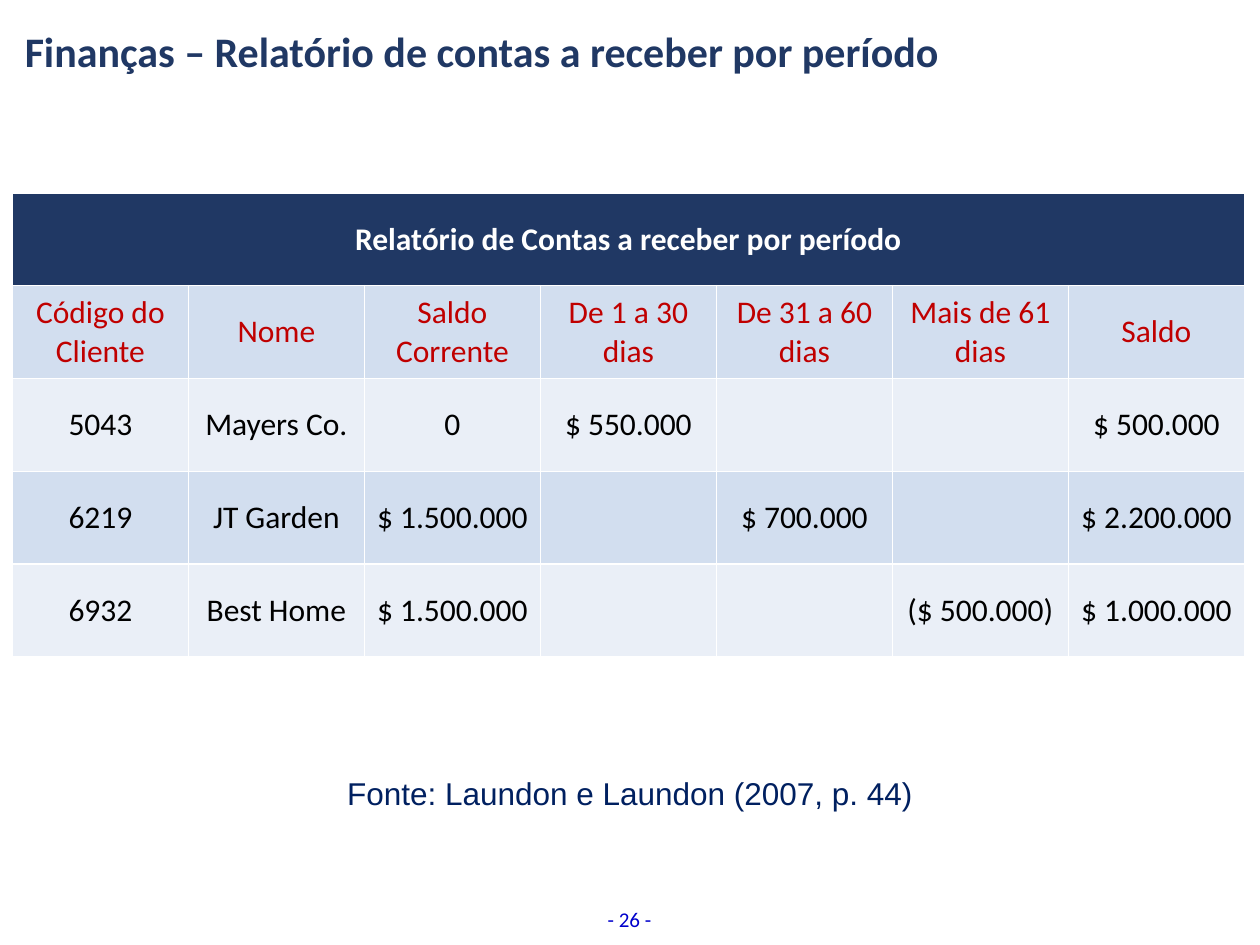
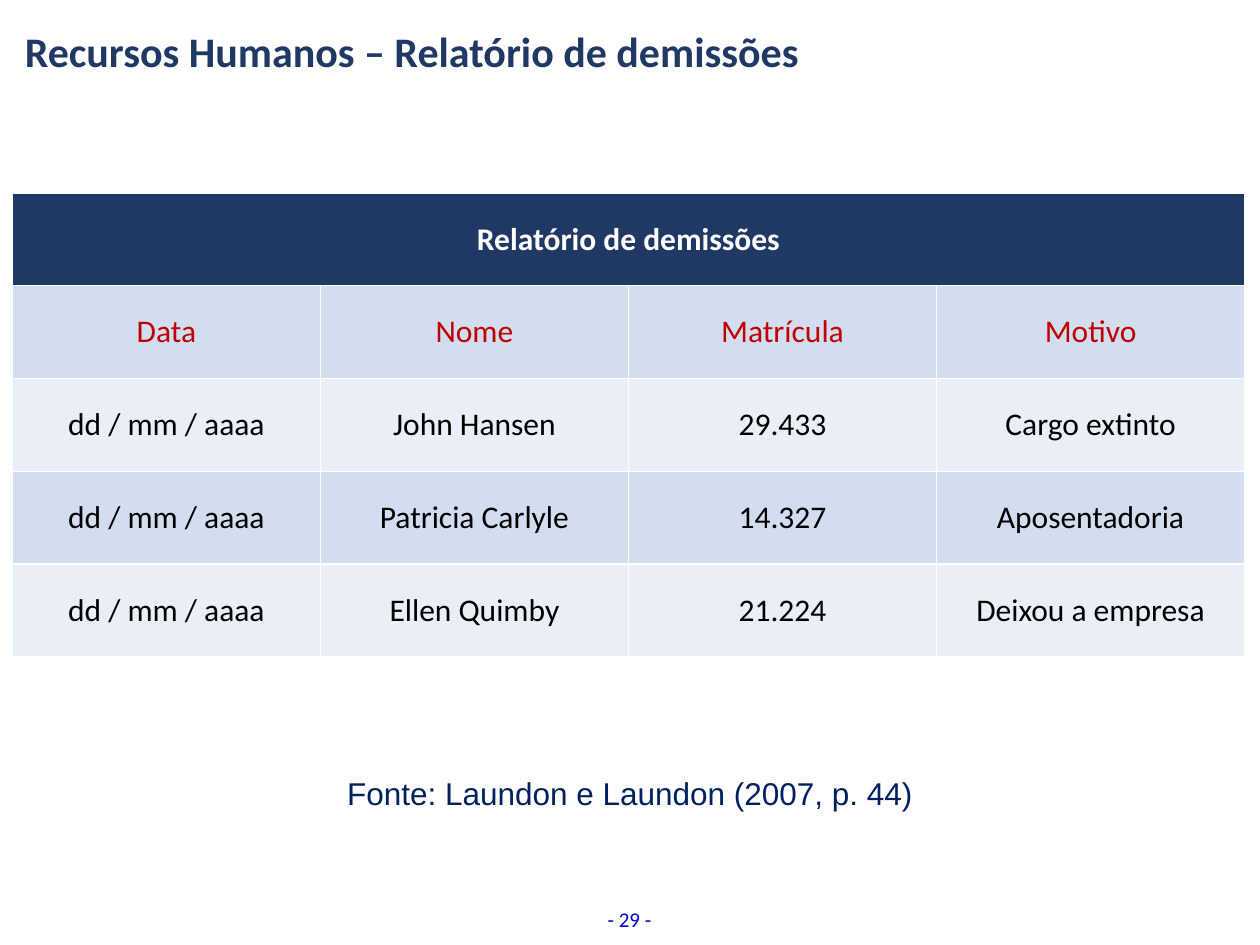
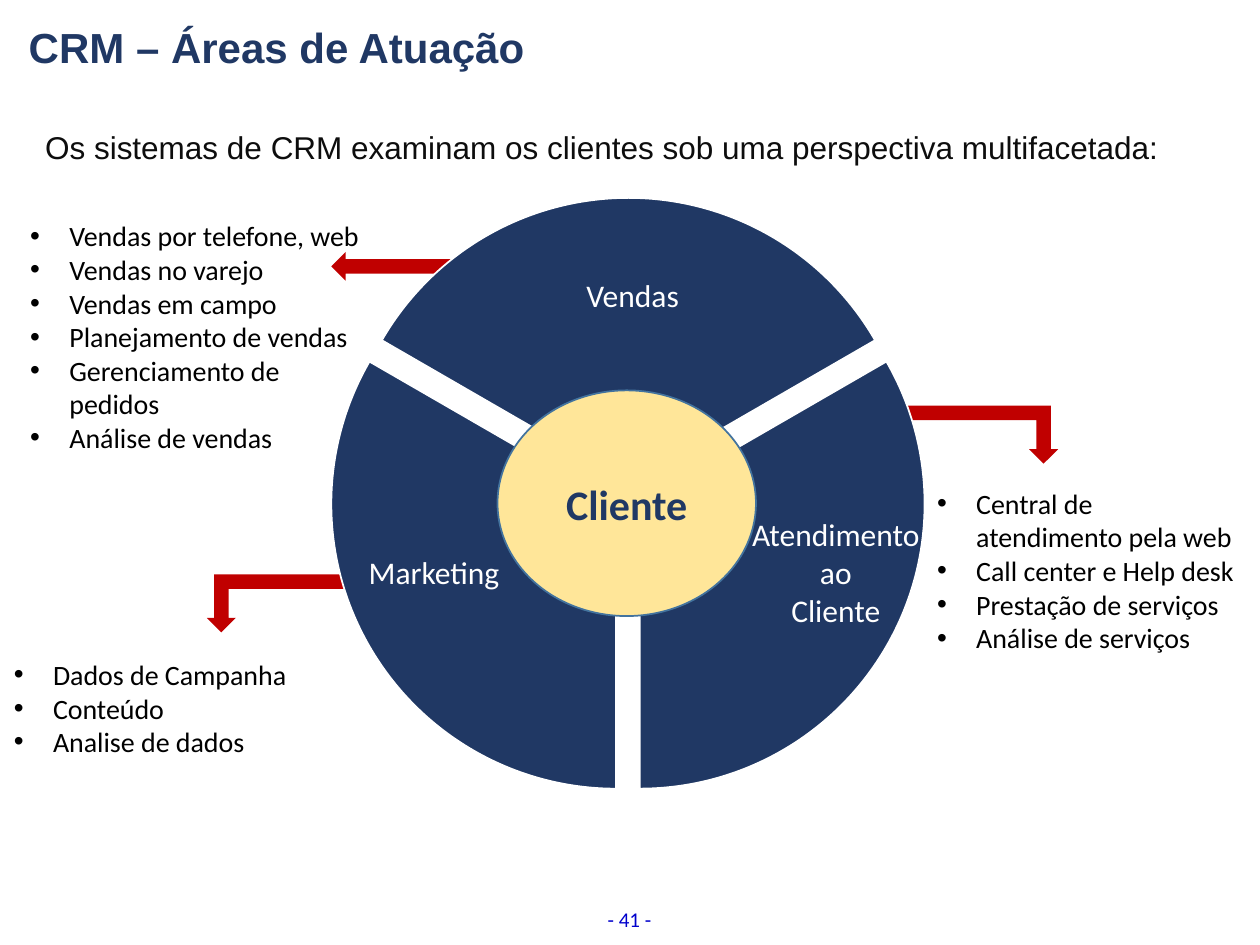
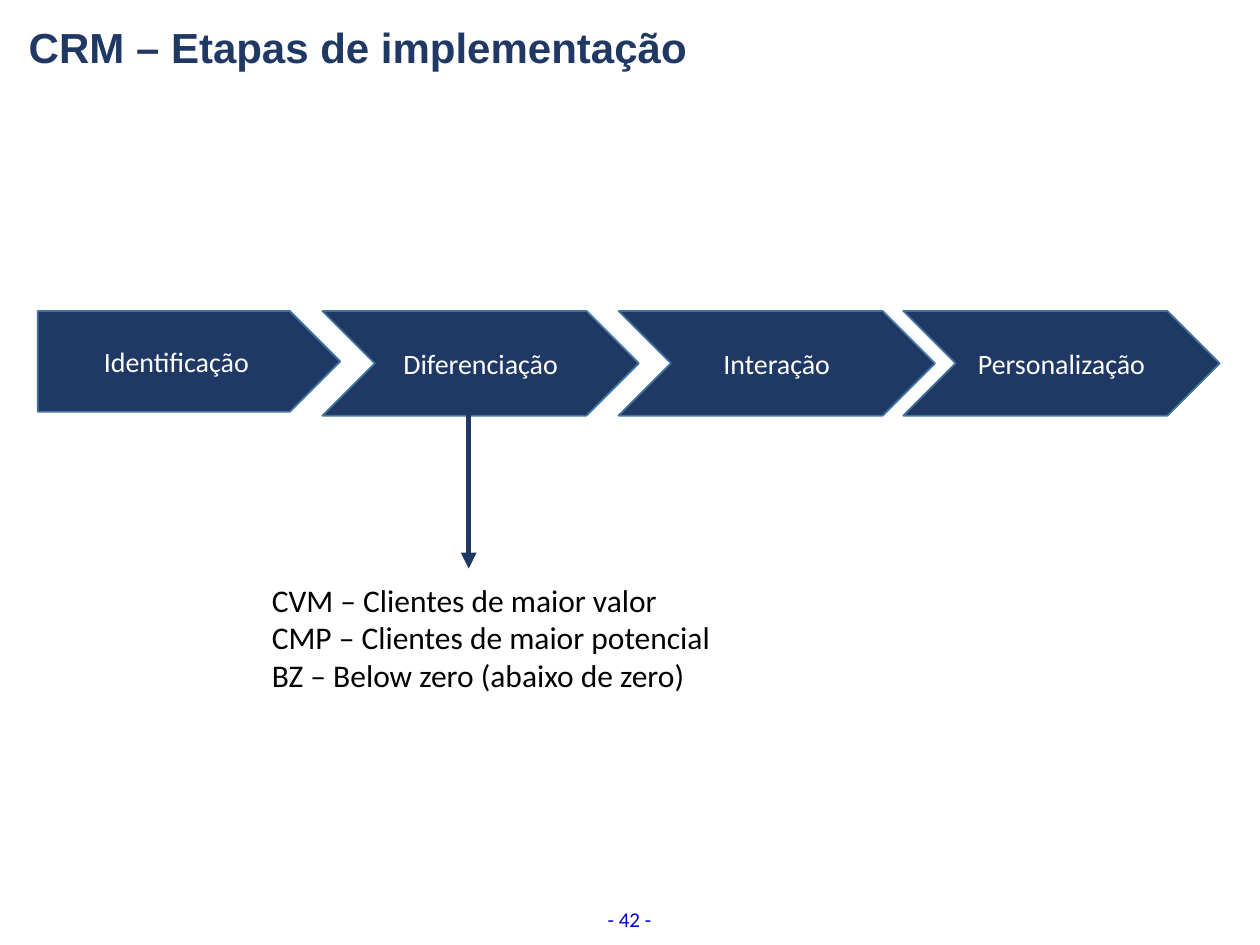
from lxml import etree
from pptx import Presentation
from pptx.dml.color import RGBColor
from pptx.enum.shapes import MSO_CONNECTOR, MSO_SHAPE
from pptx.enum.text import MSO_ANCHOR, PP_ALIGN
from pptx.oxml.ns import qn
from pptx.util import Cm, Pt

LEFT, CENTER, JUSTIFY = PP_ALIGN.LEFT, PP_ALIGN.CENTER, PP_ALIGN.JUSTIFY
TOP, MIDDLE = MSO_ANCHOR.TOP, MSO_ANCHOR.MIDDLE
PIE, ELLIPSE = MSO_SHAPE.PIE, MSO_SHAPE.OVAL
PENTAGON, CHEVRON = MSO_SHAPE.PENTAGON, MSO_SHAPE.CHEVRON
LEFT_ARROW, BENT_ARROW = MSO_SHAPE.LEFT_ARROW, MSO_SHAPE.BENT_UP_ARROW
STRAIGHT = MSO_CONNECTOR.STRAIGHT

COLORS = {
    "navy": "203864",
    "source": "002060",
    "footer": "0000CC",
    "red": "C00000",
    "band_dark": "D2DEEF",
    "band_light": "EAEFF7",
    "yellow": "FFE699",
    "outline": "43739E",
    "intro": "0D0D0D",
    "black": "000000",
    "white": "FFFFFF",
}


def place(slide, box, kind=None, fill=None, line=None):
    lengths = [Cm(value) for value in box]
    if kind is None:
        return slide.shapes.add_textbox(*lengths)
    shape = slide.shapes.add_shape(kind, *lengths)
    shape.shadow.inherit = False
    shape.fill.solid()
    shape.fill.fore_color.rgb = RGBColor.from_string(COLORS[fill])
    if line:
        shape.line.color.rgb = RGBColor.from_string(COLORS[line])
        shape.line.width = Pt(1)
    else:
        shape.line.fill.background()
    return shape


def write(holder, lines, size, color, font="Calibri", bold=False, align=LEFT,
          anchor=TOP, wrap=True, bullet=False, spacing=None):
    frame = holder.text_frame
    frame.word_wrap = wrap
    holder_anchor = holder if hasattr(holder, "vertical_anchor") else frame
    holder_anchor.vertical_anchor = anchor
    for index, text in enumerate(lines):
        paragraph = frame.add_paragraph() if index else frame.paragraphs[0]
        paragraph.alignment = align
        if spacing:
            paragraph.line_spacing = spacing
        if bullet:
            properties = paragraph._p.get_or_add_pPr()
            properties.set("marL", str(Cm(0.79)))
            properties.set("indent", str(-Cm(0.79)))
            etree.SubElement(properties, qn("a:buFont")).set("typeface", "Arial")
            etree.SubElement(properties, qn("a:buChar")).set("char", "•")
        run = paragraph.add_run()
        run.text = text
        run.font.name = font
        run.font.size = Pt(size)
        run.font.bold = bold
        run.font.color.rgb = RGBColor.from_string(COLORS[color])


presentation = Presentation()
presentation.slide_width = Cm(25.4)
presentation.slide_height = Cm(19.05)
blank_layout = presentation.slide_layouts[6]

slides = []
for number in (26, 29, 41, 42):
    slide = presentation.slides.add_slide(blank_layout)
    write(place(slide, (0.69, 18.16, 24, 0.64)), [f"- {number} -"], 12, "footer", align=CENTER)
    slides.append(slide)
finance_slide, staff_slide, areas_slide, steps_slide = slides

reports = [
    (finance_slide, "Finanças – Relatório de contas a receber por período",
     "Relatório de Contas a receber por período", [
         ["Código do Cliente", "Nome", "Saldo Corrente", "De 1 a 30 dias",
          "De 31 a 60 dias", "Mais de 61 dias", "Saldo"],
         ["5043", "Mayers Co.", "0", "$ 550.000", "", "", "$ 500.000"],
         ["6219", "JT Garden", "$ 1.500.000", "", "$ 700.000", "", "$ 2.200.000"],
         ["6932", "Best Home", "$ 1.500.000", "", "", "($ 500.000)", "$ 1.000.000"],
     ]),
    (staff_slide, "Recursos Humanos – Relatório de demissões",
     "Relatório de demissões", [
         ["Data", "Nome", "Matrícula", "Motivo"],
         ["dd / mm / aaaa", "John Hansen", "29.433", "Cargo extinto"],
         ["dd / mm / aaaa", "Patricia Carlyle", "14.327", "Aposentadoria"],
         ["dd / mm / aaaa", "Ellen Quimby", "21.224", "Deixou a empresa"],
     ]),
]
for slide, title, heading, rows in reports:
    write(place(slide, (0, 15.47, 25.4, 1.02)), ["Fonte: Laundon e Laundon (2007, p. 44)"],
          18, "source", font="Arial", align=CENTER)
    column_count = len(rows[0])
    table = slide.shapes.add_table(len(rows) + 1, column_count, Cm(0.25), Cm(3.89),
                                   Cm(24.84), Cm(9.35)).table
    for column in table.columns:
        column.width = Cm(24.84 / column_count)
    heading_cell = table.cell(0, 0)
    heading_cell.merge(table.cell(0, column_count - 1))
    heading_cell.fill.solid()
    heading_cell.fill.fore_color.rgb = RGBColor.from_string(COLORS["navy"])
    write(heading_cell, [heading], 18, "white", bold=True, align=CENTER, anchor=MIDDLE)
    for row_index, row in enumerate(rows, 1):
        band = "band_dark" if row_index % 2 else "band_light"
        for column_index, text in enumerate(row):
            cell = table.cell(row_index, column_index)
            cell.fill.solid()
            cell.fill.fore_color.rgb = RGBColor.from_string(COLORS[band])
            if text:
                write(cell, [text], 18, "red" if row_index == 1 else "black",
                      align=CENTER, anchor=MIDDLE)
    write(place(slide, (0.25, 0.33, 24.46, 1.37)), [title], 24, "navy", bold=True, anchor=MIDDLE)

for left, top, flips in ((17.98, 8.18, ["flipV"]), (4.17, 11.58, ["flipH", "flipV"])):
    arrow = place(areas_slide, (left, top, 3.35, 1.17), BENT_ARROW, "red")
    for flip in flips:
        arrow._element.spPr.xfrm.set(flip, "1")
place(areas_slide, (6.68, 5.08, 2.54, 0.58), LEFT_ARROW, "red")

for slide, title in ((areas_slide, "CRM – Áreas de Atuação"),
                     (steps_slide, "CRM – Etapas de implementação")):
    write(place(slide, (0.33, 0.3, 22.1, 1.63)), [title], 24, "navy", font="Arial", bold=True)

write(place(areas_slide, (0.66, 2.08, 23.85, 2.41)),
      ["Os sistemas de CRM examinam os clientes sob uma perspectiva multifacetada:"],
      18, "intro", font="Arial", align=JUSTIFY, spacing=1.5)

for left, top, start_angle, end_angle in ((7.16, 4.42, -30, 90),
                                          (6.93, 3.99, -150, -30),
                                          (6.68, 4.42, 90, -150)):
    sector = place(areas_slide, (left, top, 11.48, 11.48), PIE, "navy", "white")
    sector.adjustments[0] = start_angle % 360 * 0.6
    sector.adjustments[1] = end_angle % 360 * 0.6

write(place(areas_slide, (10.03, 7.87, 5.21, 4.55), ELLIPSE, "yellow", "outline"),
      ["Cliente"], 24, "navy", bold=True, align=CENTER, anchor=MIDDLE)

sector_labels = [
    ((11.56, 5.44, 2.39, 1.02), ["Vendas"]),
    ((14.88, 10.26, 3.94, 2.57), ["Atendimento", "ao", "Cliente"]),
    ((7.16, 11.02, 3.18, 1.02), ["Marketing"]),
]
for box, lines in sector_labels:
    write(place(areas_slide, box), lines, 18, "white", align=CENTER, wrap=False)

activity_lists = [
    ((0.03, 13.13, 6.07, 2.31), ["Dados de Campanha", "Conteúdo", "Analise de dados"]),
    ((18.64, 9.68, 6.5, 4.45), ["Central de atendimento pela web", "Call center e Help desk",
                                "Prestação de serviços", "Análise de serviços"]),
    ((0.36, 4.29, 7.16, 5.74), ["Vendas por telefone, web", "Vendas no varejo",
                                "Vendas em campo", "Planejamento de vendas",
                                "Gerenciamento de pedidos", "Análise de vendas"]),
]
for box, lines in activity_lists:
    write(place(areas_slide, box), lines, 16, "black", bullet=True)

steps = [
    ("Identificação", PENTAGON, (0.76, 6.27, 6.1, 2.03)),
    ("Diferenciação", CHEVRON, (6.5, 6.27, 6.38, 2.11)),
    ("Interação", CHEVRON, (12.47, 6.27, 6.38, 2.11)),
    ("Personalização", CHEVRON, (18.21, 6.27, 6.38, 2.11)),
]
for name, kind, box in steps:
    write(place(steps_slide, box, kind, "navy", "outline"), [name], 16, "white",
          align=CENTER, anchor=MIDDLE)

write(place(steps_slide, (5.23, 11.58, 9.45, 2.57)),
      ["CVM – Clientes de maior valor", "CMP – Clientes de maior potencial",
       "BZ – Below zero (abaixo de zero)"], 18, "black", wrap=False)

connector = steps_slide.shapes.add_connector(STRAIGHT, Cm(9.45), Cm(8.31), Cm(9.45), Cm(11.46))
connector.line.color.rgb = RGBColor.from_string(COLORS["navy"])
connector.line.width = Pt(3)
etree.SubElement(connector.line._get_or_add_ln(), qn("a:tailEnd")).set("type", "triangle")
etree.SubElement(connector._element.spPr, qn("a:effectLst"))

presentation.save("out.pptx")
